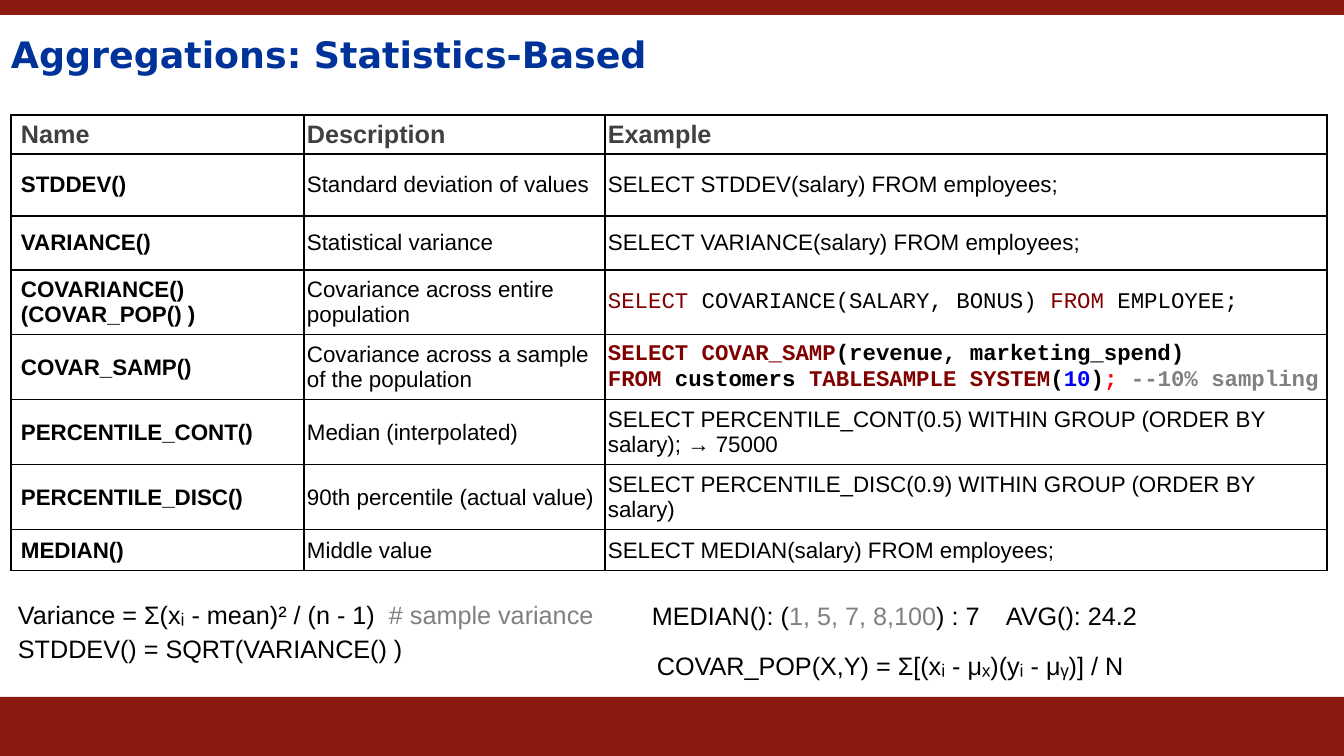
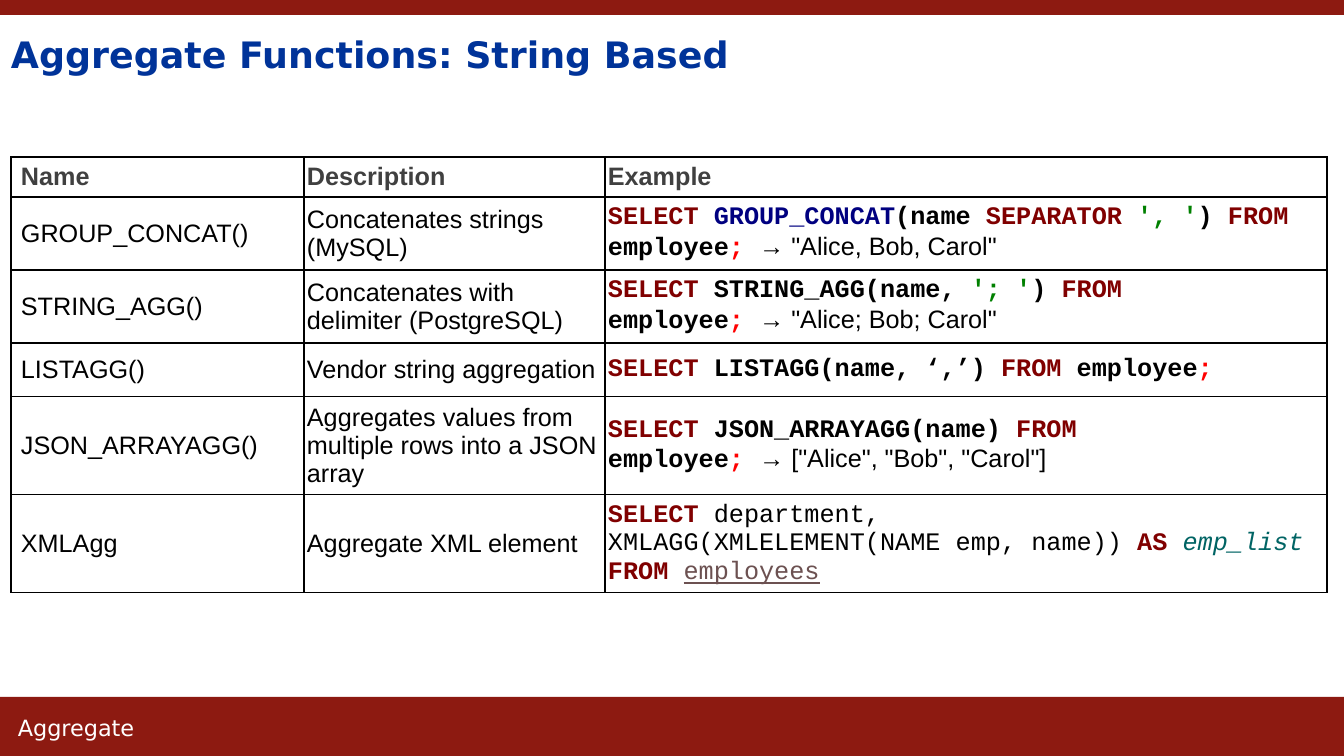
from lxml import etree
from pptx import Presentation
from pptx.dml.color import RGBColor
from pptx.enum.shapes import MSO_SHAPE
from pptx.enum.text import MSO_ANCHOR
from pptx.oxml.ns import qn
from pptx.util import Emu, Pt

RECTANGLE = MSO_SHAPE.RECTANGLE
MIDDLE = MSO_ANCHOR.MIDDLE

EMU_PER_PX = 914400 / 100.8
SLIDE_W, SLIDE_H = 1344, 756
BANDS = [(0, 15), (697, 59)]  # top, height
SANS, MONO, TITLE_FONT = "Arial", "Courier New", "DejaVu Sans"
BLACK, WHITE, GREY = "000000", "FFFFFF", "808080"
BAND_RED, TITLE_BLUE, HEADER_GREY = "8D1A11", "003399", "404040"
NBSP = chr(160)

# run styles: font, colour, bold, then italic and underline where used
STYLES = {
    "text": (SANS, BLACK, False),
    "note": (SANS, GREY, False),
    "word": (MONO, "800000", False),
    "code": (MONO, BLACK, False),
    "WORD": (MONO, "800000", True),
    "CODE": (MONO, BLACK, True),
    "FUNCTION": (MONO, "000080", True),
    "NUMBER": (MONO, "0000FF", True),
    "STRING": (MONO, "008000", True),
    "END": (MONO, "FF0000", True),
    "COMMENT": (MONO, GREY, True),
    "alias": (MONO, "006464", False, True),
    "table": (MONO, "6C5151", False, False, True),
}


def result(value):
    """Runs that end a statement and show what it returns."""
    return [("FROM", "WORD"), (" employee", "CODE"), (f";{NBSP}", "END"),
            (f"→{NBSP}{value}", "text")]


# A text is a plain string or a list of lines, each a list of (text, style) runs.
HEADER = ("Name", "Description", "Example")
COLUMN_WIDTHS = (293, 301, 722)

STATISTICS = [
    ("STDDEV()", "Standard deviation of values", "SELECT STDDEV(salary) FROM employees;"),
    ("VARIANCE()", "Statistical variance", "SELECT VARIANCE(salary) FROM employees;"),
    ("COVARIANCE() (COVAR_POP() )", "Covariance across entire population",
     [[("SELECT", "word"), (" COVARIANCE(SALARY, BONUS) ", "code"),
       ("FROM", "word"), (" EMPLOYEE;", "code")]]),
    ("COVAR_SAMP()", "Covariance across a sample of the population",
     [[("SELECT COVAR_SAMP", "WORD"), ("(revenue, marketing_spend)", "CODE")],
      [("FROM", "WORD"), (" customers ", "CODE"), ("TABLESAMPLE SYSTEM", "WORD"),
       ("(", "CODE"), ("10", "NUMBER"), (")", "CODE"), ("; ", "END"),
       ("--10% sampling", "COMMENT")]]),
    ("PERCENTILE_CONT()", "Median (interpolated)",
     "SELECT PERCENTILE_CONT(0.5) WITHIN GROUP (ORDER BY salary); → 75000"),
    ("PERCENTILE_DISC()", "90th percentile (actual value)",
     "SELECT PERCENTILE_DISC(0.9) WITHIN GROUP (ORDER BY salary)"),
    ("MEDIAN()", "Middle value", "SELECT MEDIAN(salary) FROM employees;"),
]

STRINGS = [
    ("GROUP_CONCAT()", "Concatenates strings (MySQL)",
     [[("SELECT ", "WORD"), ("GROUP_CONCAT", "FUNCTION"), ("(name ", "CODE"),
       ("SEPARATOR ", "WORD"), ("', '", "STRING"), (") ", "CODE"),
       *result('"Alice, Bob, Carol"')]]),
    ("STRING_AGG()", "Concatenates with delimiter (PostgreSQL)",
     [[("SELECT", "WORD"), (" STRING_AGG(name, ", "CODE"), ("'; '", "STRING"),
       (") ", "CODE"), *result('"Alice; Bob; Carol"')]]),
    ("LISTAGG()", "Vendor string aggregation",
     [[("SELECT", "WORD"), (" LISTAGG(name, ‘,’) ", "CODE"), ("FROM", "WORD"),
       (" employee", "CODE"), (";", "END")]]),
    ("JSON_ARRAYAGG()", "Aggregates values from multiple rows into a JSON array",
     [[("SELECT", "WORD"), (" JSON_ARRAYAGG(name) ", "CODE"),
       *result('["Alice", "Bob", "Carol"]')]]),
    ("XMLAgg", "Aggregate XML element",
     [[("SELECT", "WORD"), (" department,", "code")],
      [("XMLAGG(XMLELEMENT(NAME emp, name)) ", "code"), ("AS ", "WORD"),
       ("emp_list", "alias")],
      [("FROM ", "WORD"), ("employees", "table")]]),
]

# box (left, top, width, height), tab stop, text
FORMULAS = [
    ((8, 594, 613, 71), 371,
     [[("Variance = Σ(xᵢ - mean)² / (n - 1)\t", "text"), ("# sample variance", "note")],
      [("STDDEV() = SQRT(VARIANCE() )", "text")]]),
    ((642, 595, 647, 40), 354,
     [[("MEDIAN(): (", "text"), ("1, 5, 7, 8,100", "note"),
       (") : 7\tAVG(): 24.2", "text")]]),
    ((647, 645, 623, 40), None, "COVAR_POP(X,Y) = Σ[(xᵢ - μₓ)(yᵢ - μᵧ)] / N"),
]

SLIDES = [
    {"title": "Aggregations: Statistics-Based", "rows": STATISTICS, "top": 115,
     "heights": (39, 62, 54, 65, 65, 65, 65, 41), "size": 16, "bold_names": True,
     "formulas": FORMULAS},
    {"title": "Aggregate Functions: String Based", "rows": STRINGS, "top": 157,
     "heights": (40, 73, 73, 54, 98, 98), "size": 18, "bold_names": False,
     "footer": "Aggregate"},
]


def px(value):
    return Emu(round(value * EMU_PER_PX))


def rgb(color):
    return RGBColor.from_string(color)


def set_font(font, name, color, bold=False, italic=False, underline=False):
    font.name, font.bold = name, bold
    font.color.rgb = rgb(color)
    if italic:
        font.italic = True
    if underline:
        font.underline = True


def set_margins(area, left, top, right, bottom):
    area.margin_left, area.margin_top = px(left), px(top)
    area.margin_right, area.margin_bottom = px(right), px(bottom)


def add_tab_stop(paragraph, position):
    stops = etree.SubElement(paragraph._p.get_or_add_pPr(), qn("a:tabLst"))
    etree.SubElement(stops, qn("a:tab"), pos=str(px(position)), algn="l")


def write(frame, text, size, base=STYLES["text"], tab=None, gap=0):
    """Fill a frame with a string in the base style, or with lines of styled runs."""
    lines = [[(text, None)]] if isinstance(text, str) else text
    for index, line in enumerate(lines):
        paragraph = frame.add_paragraph() if index else frame.paragraphs[0]
        if index and gap:
            paragraph.space_before = Pt(gap)
        if tab:
            add_tab_stop(paragraph, tab)
        paragraph.font.size = Pt(size)
        set_font(paragraph.font, *base)
        for words, style in line:
            run = paragraph.add_run()
            run.text = words
            if style and STYLES[style] != base:
                set_font(run.font, *STYLES[style])


def add_text(slide, box, text, size, wrap=True, **options):
    frame = slide.shapes.add_textbox(*map(px, box)).text_frame
    frame.word_wrap = wrap
    write(frame, text, size, **options)
    return frame


def add_frame(slide, title):
    """Draw the bands and the title that all slides share."""
    for top, height in BANDS:
        band = slide.shapes.add_shape(RECTANGLE, 0, px(top), px(SLIDE_W), px(height))
        band.shadow.inherit = False
        band.fill.solid()
        band.fill.fore_color.rgb = rgb(BAND_RED)
        band.line.fill.background()
    frame = add_text(slide, (11, 19, 1312, 80), title, 26,
                     base=(TITLE_FONT, TITLE_BLUE, True))
    frame.vertical_anchor = MIDDLE
    frame.paragraphs[0].line_spacing = 0.95
    set_margins(frame, 0, 0, 10, 5)


def add_borders(cell):
    properties = cell._tc.get_or_add_tcPr()
    for index, side in enumerate(("lnL", "lnR", "lnT", "lnB")):
        line = etree.Element(qn(f"a:{side}"), w=str(Pt(1)))
        fill = etree.SubElement(line, qn("a:solidFill"))
        etree.SubElement(fill, qn("a:srgbClr"), val=BLACK)
        properties.insert(index, line)


def add_function_table(slide, rows, top, heights, size, bold_names):
    table = slide.shapes.add_table(
        len(heights), len(COLUMN_WIDTHS), px(11), px(top),
        px(sum(COLUMN_WIDTHS)), px(sum(heights))).table
    table.horz_banding = False
    for column, width in zip(table.columns, COLUMN_WIDTHS):
        column.width = px(width)
    for r, (texts, height) in enumerate(zip([HEADER, *rows], heights)):
        table.rows[r].height = px(height)
        for c, text in enumerate(texts):
            cell = table.cell(r, c)
            cell.fill.solid()
            cell.fill.fore_color.rgb = rgb(WHITE)
            cell.vertical_anchor = MIDDLE
            set_margins(cell, 3 if c else 10, 3, 3, 3)
            add_borders(cell)
            if r == 0:
                write(cell.text_frame, text, 18, (SANS, HEADER_GREY, True))
            else:
                write(cell.text_frame, text, size, (SANS, BLACK, bold_names and c == 0))


def main():
    deck = Presentation()
    deck.slide_width, deck.slide_height = px(SLIDE_W), px(SLIDE_H)
    for content in SLIDES:
        slide = deck.slides.add_slide(deck.slide_layouts[6])
        add_frame(slide, content["title"])
        add_function_table(slide, content["rows"], content["top"], content["heights"],
                           content["size"], content["bold_names"])
        for box, tab, text in content.get("formulas", []):
            add_text(slide, box, text, 18, tab=tab, gap=3)
        if "footer" in content:
            add_text(slide, (8, 709, 137, 37), content["footer"], 16, wrap=False,
                     base=(TITLE_FONT, WHITE))
    deck.save("out.pptx")


if __name__ == "__main__":
    main()
